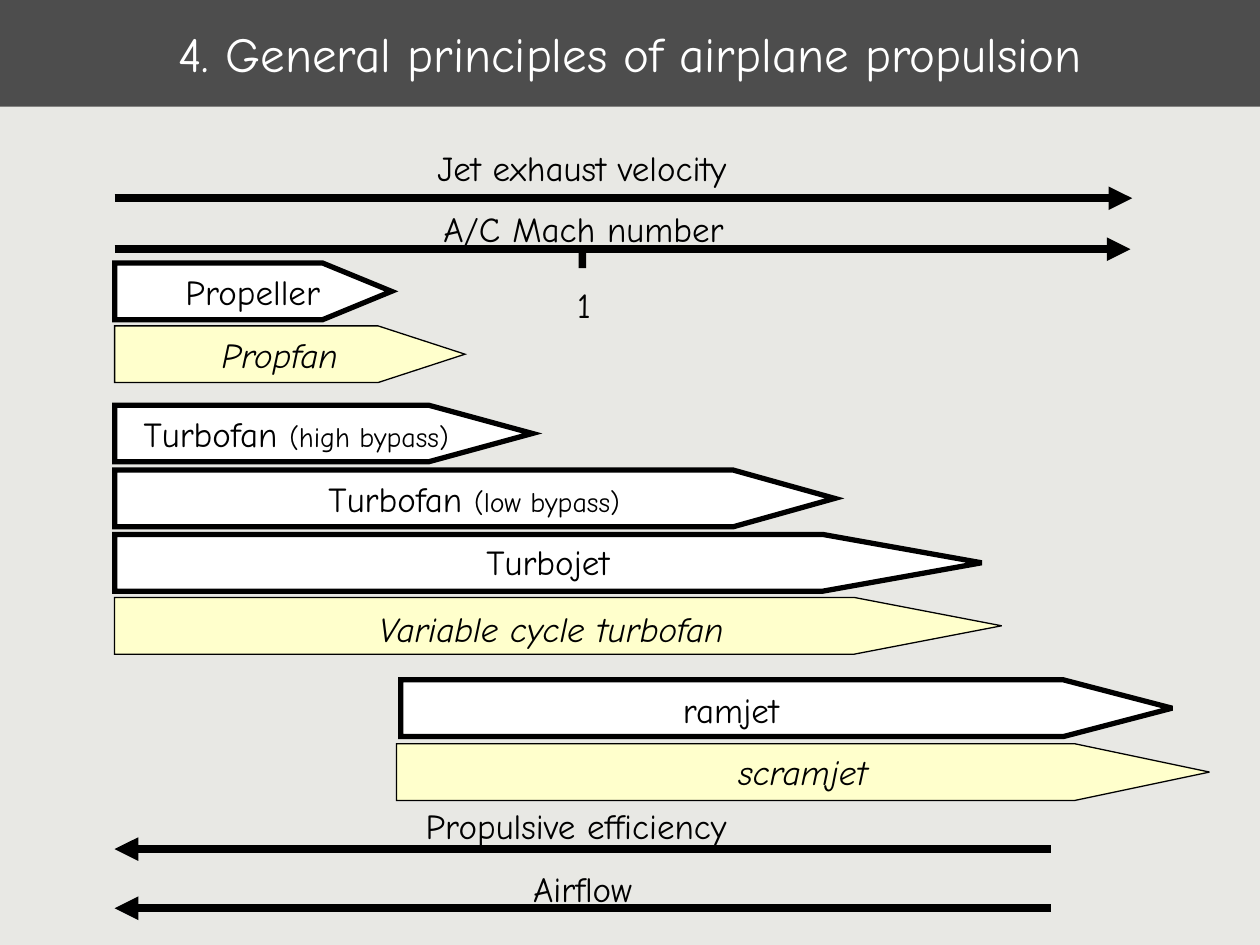
import pptx
import pptx.dml.color
import pptx.enum.shapes
import pptx.enum.text
import pptx.oxml
import pptx.oxml.ns
import pptx.util

Pt = pptx.util.Pt
BLACK, WHITE = "000000", "FFFFFF"
LABEL_SIZE, DETAIL_SIZE = 20, 16
LABEL_HEIGHT = 23.8
AXIS_LEFT = 65.5
BAND_HEIGHT = 32.4


def color(hex_code):
    return pptx.dml.color.RGBColor.from_string(hex_code)


def drawing_element(tag, **attributes):
    element = pptx.oxml.parse_xml(f"<a:{tag} {pptx.oxml.ns.nsdecls('a')}/>")
    for name, value in attributes.items():
        element.set(name, value)
    return element


class PropulsionSlide:
    font_name = "Comic Neue"

    def __init__(self, presentation, background):
        self.slide = presentation.slides.add_slide(presentation.slide_layouts[5])
        self.slide.background.fill.solid()
        self.slide.background.fill.fore_color.rgb = color(background)

    def add_run(self, paragraph, text, size, hex_code=BLACK, italic=False):
        run = paragraph.add_run()
        run.text = text
        run.font.name = self.font_name
        run.font.size = Pt(size)
        run.font.italic = italic
        run.font.color.rgb = color(hex_code)

    def paint(self, shape, fill, line_width=0):
        """Fill the shape and outline it in black, or not at all at width 0."""
        shape.shadow.inherit = False
        shape.fill.solid()
        shape.fill.fore_color.rgb = color(fill)
        if line_width:
            shape.line.color.rgb = color(BLACK)
            shape.line.width = Pt(line_width)
            shape.line._get_or_add_ln().append(drawing_element("miter", lim="800000"))
        else:
            shape.line.fill.background()

    def title(self, text, width, height, fill):
        title = self.slide.shapes.title
        title.left, title.top, title.width, title.height = 0, 0, Pt(width), Pt(height)
        title.fill.solid()
        title.fill.fore_color.rgb = color(fill)
        frame = title.text_frame
        frame.vertical_anchor = pptx.enum.text.MSO_ANCHOR.MIDDLE
        frame.auto_size = pptx.enum.text.MSO_AUTO_SIZE.NONE
        frame.margin_left = frame.margin_right = Pt(7.2)
        frame.margin_top = frame.margin_bottom = Pt(3.6)
        paragraph = frame.paragraphs[0]
        paragraph.alignment = pptx.enum.text.PP_ALIGN.CENTER
        self.add_run(paragraph, text, 28, WHITE)

    def label(self, text, left, top, width, detail="", italic=False):
        box = self.slide.shapes.add_textbox(Pt(left), Pt(top), Pt(width), Pt(LABEL_HEIGHT))
        frame = box.text_frame
        frame.margin_left = frame.margin_right = frame.margin_top = frame.margin_bottom = 0
        frame.word_wrap = False
        frame.auto_size = pptx.enum.text.MSO_AUTO_SIZE.SHAPE_TO_FIT_TEXT
        paragraph = frame.paragraphs[0]
        self.add_run(paragraph, text, LABEL_SIZE, italic=italic)
        if detail:
            self.add_run(paragraph, detail, DETAIL_SIZE, italic=italic)

    def arrow(self, start, end, height):
        """Draw a horizontal arrow with its head at end."""
        connector = self.slide.shapes.add_connector(
            pptx.enum.shapes.MSO_CONNECTOR.STRAIGHT, Pt(start), Pt(height), Pt(end), Pt(height))
        connector.line.color.rgb = color(BLACK)
        connector.line.width = Pt(4.5)
        connector.line._get_or_add_ln().append(drawing_element("tailEnd", type="triangle"))
        connector._element.spPr.append(drawing_element("effectLst"))

    def tick(self, left, top, width, height):
        shape = self.slide.shapes.add_shape(
            pptx.enum.shapes.MSO_SHAPE.RECTANGLE, Pt(left), Pt(top), Pt(width), Pt(height))
        self.paint(shape, BLACK)

    def band(self, left, top, shoulder, tip, emerging):
        """Draw a pointed bar; emerging engines are pale yellow with a thin outline."""
        middle, bottom = top + BAND_HEIGHT / 2, top + BAND_HEIGHT
        builder = self.slide.shapes.build_freeform(Pt(left), Pt(top))
        corners = [(shoulder, top), (tip, middle), (shoulder, bottom), (left, bottom)]
        builder.add_line_segments([(Pt(x), Pt(y)) for x, y in corners], close=True)
        shape = builder.convert_to_shape()
        if emerging:
            self.paint(shape, "FFFFCC", 0.75)
        else:
            self.paint(shape, WHITE, 3)


# name, detail, emerging, (left, top, shoulder, tip), (label left, top, width)
ENGINES = [
    ("Propeller", "", False, (AXIS_LEFT, 150.3, 184.3, 223.7), (106, 154.8, 77)),
    ("Propfan", "", True, (AXIS_LEFT, 186.2, 216, 265.7), (126.7, 190.8, 78.5)),
    ("Turbofan ", "(high bypass)", False, (AXIS_LEFT, 231.5, 244.8, 304.2), (82.1, 235.6, 175)),
    ("Turbofan ", "(low bypass)", False, (AXIS_LEFT, 268.6, 419, 477), (187.7, 272.9, 167)),
    ("Turbojet", "", False, (AXIS_LEFT, 305.4, 470.2, 560.9), (277.9, 308.9, 70.6)),
    ("Variable cycle turbofan", "", True, (AXIS_LEFT, 341.4, 488.2, 572.4), (216.7, 347, 205.2)),
    ("ramjet", "", False, (229, 388.5, 607.7, 669.8), (390.2, 393.5, 55.4)),
    ("scramjet", "", True, (226.6, 425, 614.2, 691.2), (421.9, 429.1, 74.9)),
]

# name, arrow start, arrow end, arrow height, (label left, top, width)
TRENDS = [
    ("Jet exhaust velocity", AXIS_LEFT, 647, 113.3, (250, 83.5, 165.6)),
    ("A/C Mach number", AXIS_LEFT, 646, 142.4, (253.4, 118.8, 160.6)),
    ("Propulsive efficiency", 600.5, AXIS_LEFT, 485.2, (243.2, 459.9, 179.3)),
    ("Airflow", 600.5, AXIS_LEFT, 519, (304.6, 495.6, 56.9)),
]


def main():
    presentation = pptx.Presentation()
    presentation.slide_width, presentation.slide_height = Pt(720), Pt(540)
    page = PropulsionSlide(presentation, "E8E8E4")
    page.title("4. General principles of airplane propulsion", 720, 61, "4D4D4D")

    for name, start, end, height, label_place in TRENDS:
        page.label(name, *label_place)
        page.arrow(start, end, height)
    page.tick(330.7, 141.1, 4.3, 12.2)
    page.label("1", 329.8, 162, 7.9)

    for name, detail, emerging, outline, label_place in ENGINES:
        page.band(*outline, emerging)
        page.label(name, *label_place, detail=detail, italic=emerging)

    presentation.save("out.pptx")


if __name__ == "__main__":
    main()
